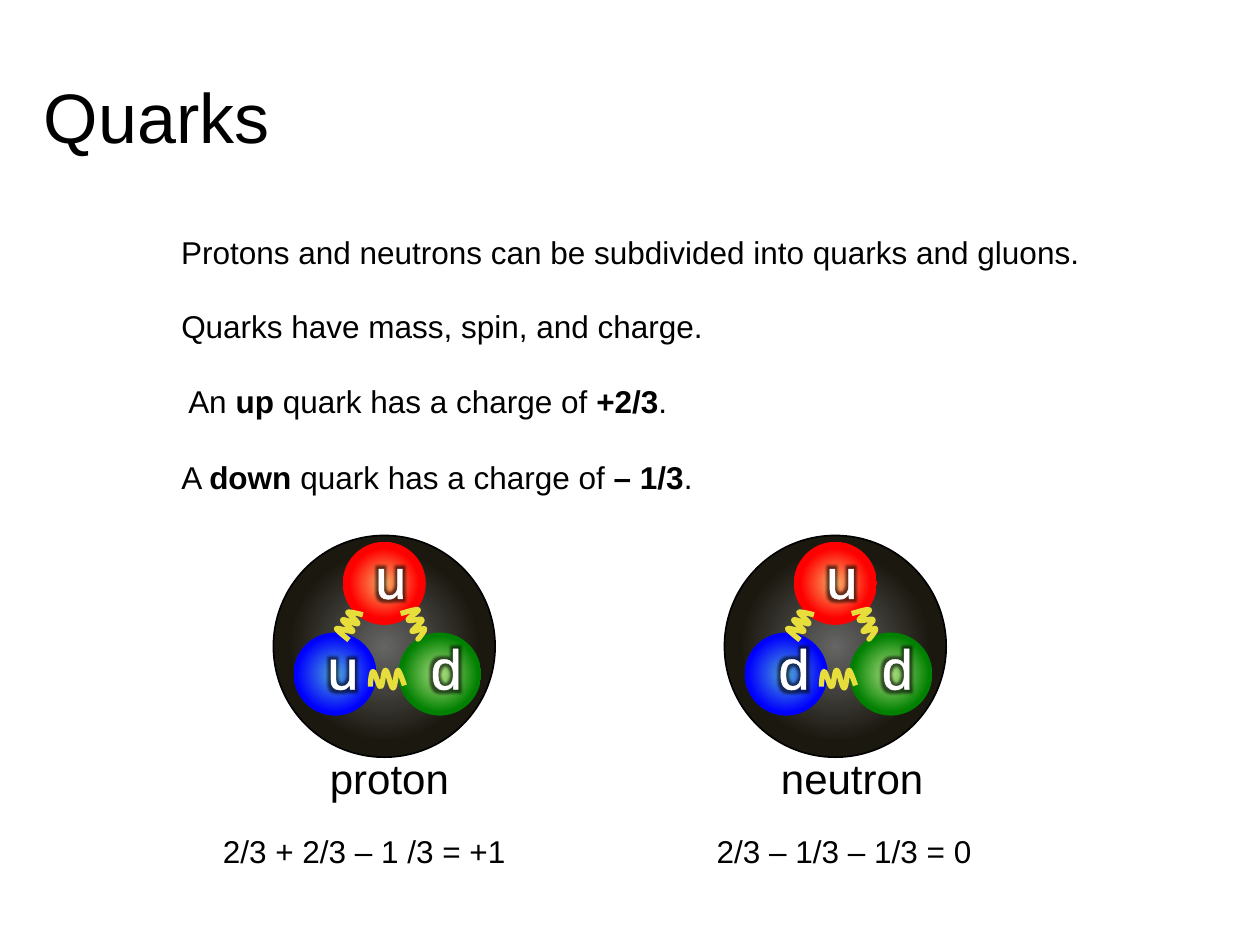
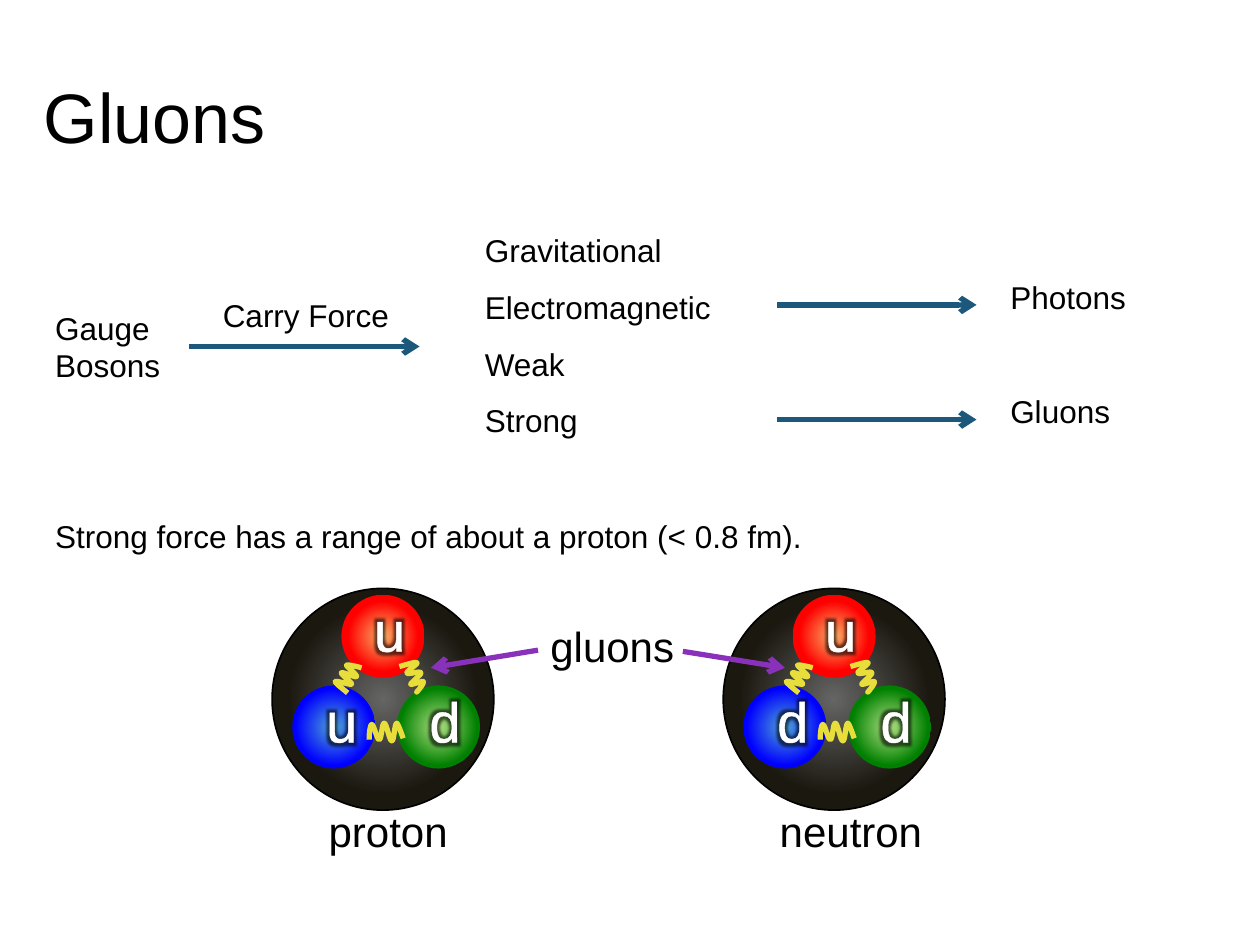
"""Two slides on quarks and gluons."""
from lxml import etree
from pptx import Presentation
from pptx.dml.color import RGBColor
from pptx.enum.shapes import MSO_CONNECTOR, MSO_SHAPE
from pptx.enum.text import MSO_ANCHOR, MSO_AUTO_SIZE
from pptx.oxml import parse_xml
from pptx.oxml.ns import nsdecls, qn
from pptx.util import Inches, Pt

ELLIPSE = MSO_SHAPE.OVAL
STRAIGHT = MSO_CONNECTOR.STRAIGHT
MIDDLE = MSO_ANCHOR.MIDDLE
NO_AUTOFIT = MSO_AUTO_SIZE.NONE

FONT = "Arial"
COLORS = {
    "text": "000000", "label": "FFFFFF", "gluon": "E7DD3B",
    "force": "1B587C", "pointer": "8931BB",
}
GRADIENTS = {
    "shell": ("656565", "1B1810", 0.61),
    "blue": ("4EA5D8", "0000FF", 0.66),
    "red": ("F9B268", "FF0000", 0.6),
    "green": ("B0E183", "008000", 0.66),
}
QUARK_SPOTS = {
    "blue": (0.16, 0.77, 0.33, 0.88),
    "red": (0.55, 0.05, 0.71, 0.16),
    "green": (0.99, 0.77, 1.15, 0.88),
}
GLUON_CURVES = [
    [(0.77, 1.2), (0.77, 1.14), (0.78, 1.08), (0.79, 1.08), (0.81, 1.08),
     (0.83, 1.2), (0.85, 1.2), (0.87, 1.2), (0.87, 1.07), (0.89, 1.07),
     (0.91, 1.07), (0.93, 1.21), (0.95, 1.21), (0.97, 1.21), (0.97, 1.07),
     (0.99, 1.07), (1, 1.07), (1.04, 1.19), (1.04, 1.19)],
    [(1.01, 0.62), (1.08, 0.6), (1.14, 0.58), (1.15, 0.59), (1.16, 0.6),
     (1.06, 0.66), (1.07, 0.67), (1.07, 0.69), (1.18, 0.65), (1.18, 0.67),
     (1.19, 0.68), (1.1, 0.75), (1.1, 0.76), (1.1, 0.77), (1.2, 0.73),
     (1.2, 0.74), (1.21, 0.75), (1.16, 0.81), (1.15, 0.82), (1.14, 0.83),
     (1.16, 0.81), (1.16, 0.81)],
    [(0.6, 0.83), (0.55, 0.79), (0.5, 0.75), (0.5, 0.74), (0.51, 0.73),
     (0.63, 0.77), (0.63, 0.76), (0.64, 0.75), (0.54, 0.68), (0.55, 0.67),
     (0.56, 0.66), (0.66, 0.71), (0.67, 0.7), (0.68, 0.69), (0.59, 0.62),
     (0.59, 0.61), (0.6, 0.6), (0.71, 0.63), (0.71, 0.63)],
]
PARTICLES = [("proton", 0, "uud"), ("neutron", 3.58, "dud")]


def curve_segments(shape):
    """Turn every three line segments of a freeform into one cubic curve."""
    segments = list(shape._element.iter(qn("a:lnTo")))
    for start in range(0, len(segments), 3):
        curve = etree.Element(qn("a:cubicBezTo"))
        segments[start].addprevious(curve)
        for segment in segments[start:start + 3]:
            curve.append(segment[0])
            segment.getparent().remove(segment)


def write_text(paragraph, text, size=18, color="text", outlined=False):
    """Write text into a paragraph, with bold parts between asterisks."""
    for index, part in enumerate(text.split("*")):
        if not part:
            continue
        run = paragraph.add_run()
        run.text = part
        run.font.name = FONT
        run.font.size = Pt(size)
        run.font.bold = index % 2 == 1
        run.font.color.rgb = RGBColor.from_string(COLORS[color])
        if outlined:
            properties = run.font._element
            properties.insert(0, parse_xml(
                f'<a:ln {nsdecls("a")} w="18415"><a:solidFill>'
                f'<a:srgbClr val="{COLORS[color]}"/></a:solidFill></a:ln>'))
            properties.find(qn("a:solidFill")).addnext(parse_xml(
                f'<a:effectLst {nsdecls("a")}><a:glow rad="101600">'
                '<a:srgbClr val="000000"><a:alpha val="60000"/></a:srgbClr>'
                '</a:glow></a:effectLst>'))


class Deck:
    """Hold the style and the current slide."""

    def __init__(self):
        """Start an empty presentation."""
        self.presentation = Presentation()
        self.presentation.slide_width = Inches(10)
        self.presentation.slide_height = Inches(7.5)
        self.slide = None

    def add_slide(self, title):
        """Add a blank slide with a title."""
        self.slide = self.presentation.slides.add_slide(self.presentation.slide_layouts[6])
        self.text(0.25, 0.42, 2.2, 1, title, size=40)

    def text(self, left, top, width, height, *lines, gap=0, spacing=None, **style):
        """Add a text box with one paragraph for each line."""
        box = self.slide.shapes.add_textbox(*map(Inches, (left, top, width, height)))
        frame = box.text_frame
        frame.word_wrap = True
        frame.auto_size = NO_AUTOFIT
        frame.vertical_anchor = MIDDLE
        for index, line in enumerate(lines):
            paragraph = frame.add_paragraph() if index else frame.paragraphs[0]
            if index and gap:
                paragraph.space_before = Pt(gap)
            if spacing:
                paragraph.line_spacing = spacing
            write_text(paragraph, line, **style)

    def ball(self, left, top, diameter, gradient, outline=None):
        """Add a circle with a radial gradient."""
        shape = self.slide.shapes.add_shape(
            ELLIPSE, *map(Inches, (left, top, diameter, diameter)))
        shape.shadow.inherit = False
        shape.fill.gradient()
        inner, outer, edge = GRADIENTS[gradient]
        for stop, color, position in zip(shape.fill.gradient_stops, (inner, outer), (0, edge)):
            stop.color.rgb = RGBColor.from_string(color)
            stop.position = position
        fill = shape._element.spPr.find(qn("a:gradFill"))
        fill.replace(fill.find(qn("a:lin")), parse_xml(
            f'<a:path {nsdecls("a")} path="circle">'
            '<a:fillToRect l="50000" t="50000" r="50000" b="50000"/></a:path>'))
        if outline:
            shape.line.color.rgb = RGBColor.from_string(COLORS[outline])
            shape.line.width = Pt(0.94)
        else:
            shape.line.fill.background()

    def gluon(self, left, top, controls):
        """Add one springy gluon line."""
        points = [(Inches(left + x), Inches(top + y)) for x, y in controls]
        builder = self.slide.shapes.build_freeform(*points[0])
        builder.add_line_segments(points[1:], close=False)
        shape = builder.convert_to_shape()
        curve_segments(shape)
        shape.shadow.inherit = False
        shape.fill.background()
        shape.line.color.rgb = RGBColor.from_string(COLORS["gluon"])
        shape.line.width = Pt(3)

    def arrow(self, start, end, color):
        """Add a straight arrow."""
        connector = self.slide.shapes.add_connector(STRAIGHT, *map(Inches, (*start, *end)))
        connector.line.color.rgb = RGBColor.from_string(COLORS[color])
        connector.line.width = Pt(3)
        etree.SubElement(connector.line._get_or_add_ln(), qn("a:tailEnd"), type="arrow")
        etree.SubElement(connector._element.spPr, qn("a:effectLst"))

    def particles(self, left, top):
        """Add the proton and the neutron."""
        for name, offset, quarks in PARTICLES:
            x = left + offset
            self.ball(x, top, 1.76, "shell", outline="text")
            for color, (ball_x, ball_y, _, _) in QUARK_SPOTS.items():
                self.ball(x + ball_x, top + ball_y, 0.66, color)
            for controls in GLUON_CURVES:
                self.gluon(x, top, controls)
            for quark, (_, _, label_x, label_y) in zip(quarks, QUARK_SPOTS.values()):
                self.text(x + label_x, top + label_y, 0.27, 0.33, quark,
                          size=32, color="label", outlined=True)
            self.text(x + 0.35, top + 1.61, 1.4, 0.63, name, size=24)


def add_quarks(deck):
    """Build the slide on quarks."""
    deck.add_slide("Quarks")
    deck.particles(2.17, 4.25)
    deck.text(1.34, 1.5, 7.5, 1, "Protons and neutrons can be subdivided into quarks and gluons.")
    deck.text(1.34, 2.42, 7.25, 1.53,
              "Quarks have mass, spin, and charge.",
              " An *up* quark has a charge of *+2/3*.",
              "A *down* quark has a charge of *– 1/3*.", gap=21.5)
    deck.text(1.67, 6.25, 2.6, 1, "2/3 + 2/3 – 1 /3 = +1")
    deck.text(5.59, 6.25, 2.4, 1, "2/3 – 1/3 – 1/3 = 0")


def add_gluons(deck):
    """Build the slide on gluons."""
    deck.add_slide("Gluons")
    deck.particles(2.16, 4.67)
    deck.text(4.27, 4.88, 1.3, 0.49, "gluons", size=24)
    deck.arrow((4.27, 5.16), (3.42, 5.3), "pointer")
    deck.arrow((5.42, 5.17), (6.23, 5.3), "pointer")
    deck.text(0.34, 2.25, 1.1, 1, "Gauge", "Bosons")
    deck.text(1.67, 2, 1.6, 1, "Carry Force")
    deck.arrow((1.5, 2.75), (3.33, 2.75), "force")
    deck.text(3.75, 1.5, 2.1, 2.17, "Gravitational", "Electromagnetic", "Weak", "Strong",
              spacing=1.5)
    for y in (2.42, 3.33):
        deck.arrow((6.17, y), (7.75, y), "force")
    deck.text(7.92, 1.65, 1.5, 2.17, "Photons", "Gluons", spacing=1.5, gap=32.5)
    deck.text(0.34, 3.75, 6.3, 1, "Strong force has a range of about a proton (< 0.8 fm).")


def main():
    """Build and save the presentation."""
    deck = Deck()
    add_quarks(deck)
    add_gluons(deck)
    deck.presentation.save("out.pptx")


if __name__ == "__main__":
    main()
